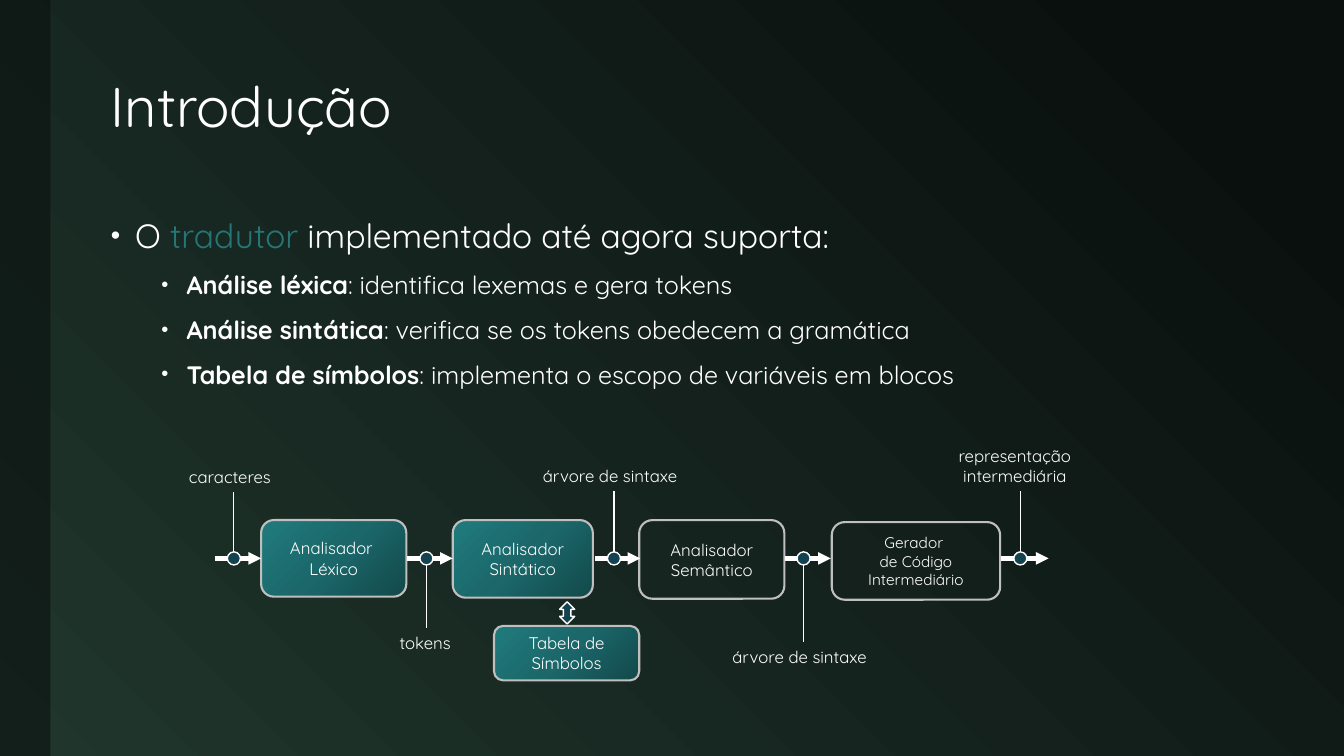
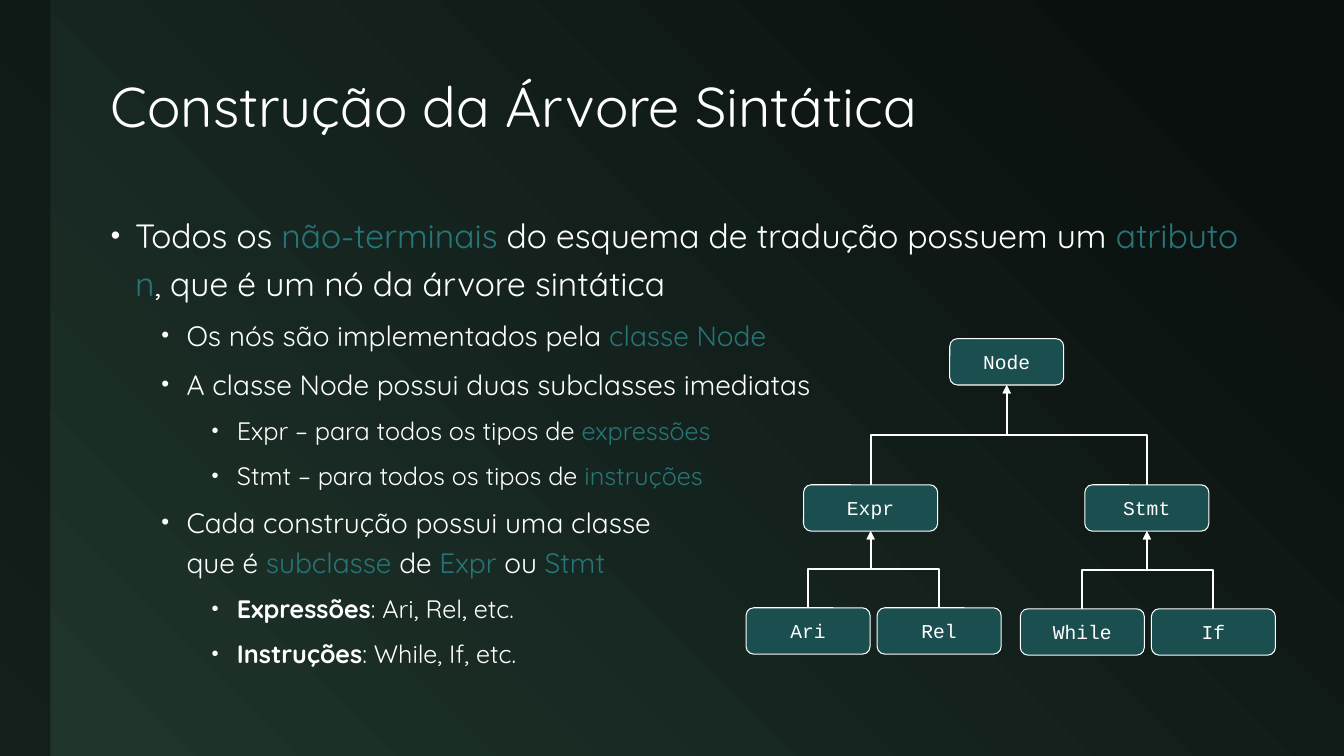
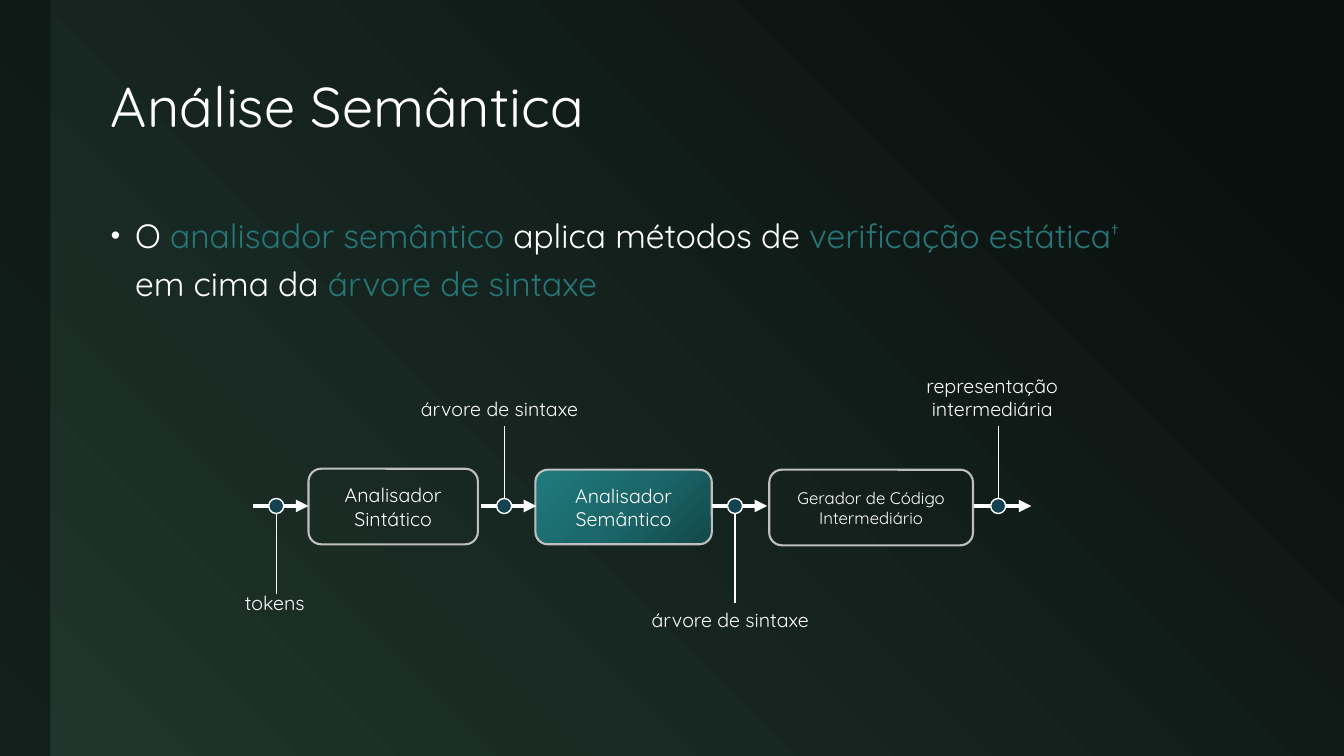
from copy import deepcopy
from lxml.etree import SubElement
from pptx import Presentation
from pptx.dml.color import RGBColor
from pptx.enum.shapes import MSO_CONNECTOR, MSO_SHAPE
from pptx.enum.text import MSO_ANCHOR, MSO_AUTO_SIZE, PP_ALIGN
from pptx.oxml.ns import qn
from pptx.util import Inches, Pt

WHITE, DARK, MOSS = "FFFFFF", "0A100E", "20362D"
TEAL, NAVY, PINE, GREY = "267577", "134251", "1A4E4F", "BFBFBF"
GLOW = ("13494A", "1B676A", "207B7D")
SANS, MONO = "Quicksand", "Courier New"
INDENTS = ((0.24, 0.24), (0.75, 0.25), (1.25, 0.25))


def tint(target, code):
    target.rgb = RGBColor.from_string(code)


def blend(fill, angle, *stops):
    fill.gradient()
    fill.gradient_angle = angle
    for stop, (place, code) in zip(fill.gradient_stops, stops):
        stop.position = place
        tint(stop.color, code)


class Deck:
    def __init__(self):
        self.show = Presentation()
        self.show.slide_width = Inches(13.33)
        self.show.slide_height = Inches(7.5)
        self.slide = None
        self.layout = self.show.slide_layouts[1]
        blend(self.show.slide_master.background.fill, 225, (0.1, DARK), (1, MOSS))
        for holder, top, height in zip(self.layout.placeholders, (0.42, 2), (1.33, 4.83)):
            holder.left, holder.top = Inches(1), Inches(top)
            holder.width, holder.height = Inches(11.65), Inches(height)

    def band(self):
        band = self.shape(MSO_SHAPE.RECTANGLE, 0, 0, 0.5, 7.5, DARK)
        code = band.element.spPr.find(".//" + qn("a:srgbClr"))
        SubElement(code, qn("a:alpha")).set("val", "60000")
        band.element.nvSpPr.cNvPr.id = 20
        self.show.slide_master.shapes.element.insert(2, band.element)

    def page(self, title, items):
        first = self.slide is None
        self.slide = self.show.slides.add_slide(self.layout)
        if first:
            self.band()
        head, body = self.slide.placeholders
        frame = head.text_frame
        frame.text = title
        frame.vertical_anchor = MSO_ANCHOR.MIDDLE
        frame.auto_size = MSO_AUTO_SIZE.NONE
        para = frame.paragraphs[0]
        para.alignment = PP_ALIGN.LEFT
        para.line_spacing = 0.9
        self.style(para.runs[0], 40)
        body.text_frame.auto_size = MSO_AUTO_SIZE.NONE
        for row, item in enumerate(items):
            para = body.text_frame.add_paragraph() if row else body.text_frame.paragraphs[0]
            self.point(para, *item)

    def style(self, run, size, font=SANS, code=WHITE):
        run.font.name, run.font.size = font, Pt(size)
        tint(run.font.color, code)

    def point(self, para, level, size, text):
        para.level = level
        para.line_spacing = 1.2
        para.space_before = Pt(6 if level else 18)
        props = para._p.get_or_add_pPr()
        left, hang = INDENTS[level]
        props.set("marL", str(Inches(left)))
        props.set("indent", str(-Inches(hang)))
        SubElement(props, qn("a:buSzPct")).set("val", "80000")
        SubElement(props, qn("a:buFont")).set("typeface", "Arial")
        SubElement(props, qn("a:buChar")).set("char", "•")
        for part in text.split("|"):
            mark = part[0]
            for row, line in enumerate(part.lstrip("~*^").split("\n")):
                if row:
                    para.add_line_break()
                if line:
                    run = para.add_run()
                    run.text = line
                    self.style(run, size, code=TEAL if mark in "~^" else WHITE)
                    run.font.bold = mark == "*"
                    if mark == "^":
                        run._r.rPr.set("baseline", "30000")
        for gap in para._p.findall(qn("a:br")):
            gap.append(deepcopy(para.runs[0]._r.rPr))

    def shape(self, kind, x, y, w, h, fill=None, line=None, weight=1):
        shape = self.slide.shapes.add_shape(kind, Inches(x), Inches(y), Inches(w), Inches(h))
        shape.shadow.inherit = False
        if fill:
            shape.fill.solid()
            tint(shape.fill.fore_color, fill)
        else:
            shape.fill.background()
        if line:
            tint(shape.line.color, line)
            shape.line.width = Pt(weight)
        else:
            shape.line.fill.background()
        return shape

    def words(self, shape, text, size, font=SANS):
        frame = shape.text_frame
        frame.text = text
        for para in frame.paragraphs:
            self.style(para.runs[0], size, font)
        return frame

    def box(self, text, x, y, w, h, size=12, glow=False):
        box = self.shape(MSO_SHAPE.ROUNDED_RECTANGLE, x, y, w, h, None, GREY, 1.5)
        if glow:
            low, mid, high = GLOW
            blend(box.fill, 135, (0, low), (1, high))
            stops = box.element.spPr.find(".//" + qn("a:gsLst"))
            stop = deepcopy(stops[0])
            stop.set("pos", "50000")
            stop[0].set("val", mid)
            stops.insert(1, stop)
        self.center(self.words(box, text, size))

    def center(self, frame):
        frame.vertical_anchor = MSO_ANCHOR.MIDDLE
        for para in frame.paragraphs:
            para.alignment = PP_ALIGN.CENTER

    def node(self, text, x, y, w=1.23):
        node = self.shape(MSO_SHAPE.ROUNDED_RECTANGLE, x, y, w, 0.46, PINE, WHITE, 0.75)
        self.center(self.words(node, text, 14, MONO))
        return node

    def label(self, text, x, y, w, h, size):
        label = self.slide.shapes.add_textbox(Inches(x), Inches(y), Inches(w), Inches(h))
        frame = self.words(label, text, size)
        frame.word_wrap = False
        frame.auto_size = MSO_AUTO_SIZE.SHAPE_TO_FIT_TEXT
        for para in frame.paragraphs[1:]:
            para.alignment = PP_ALIGN.CENTER

    def line(self, kind, ends, weight, arrow=False):
        line = self.slide.shapes.add_connector(kind, *ends)
        tint(line.line.color, WHITE)
        line.line.width = Pt(weight)
        props = line.element.spPr
        if arrow:
            SubElement(props.find(qn("a:ln")), qn("a:tailEnd")).set("type", "triangle")
        SubElement(props, qn("a:effectLst"))
        return line

    def straight(self, x1, y1, x2, y2, weight, arrow=False):
        ends = [Inches(n) for n in (x1, y1, x2, y2)]
        self.line(MSO_CONNECTOR.STRAIGHT, ends, weight, arrow)

    def link(self, child, top):
        x1, y1 = child.left + child.width // 2, child.top
        x2, y2 = top.left + top.width // 2, top.top + top.height
        rise, run = y1 - y2, abs(x2 - x1)
        left, high = (x1 + x2 - rise) // 2, (y1 + y2 - run) // 2
        sides = [left, left + rise]
        if x2 > x1:
            sides.reverse()
        ends = sides[0], high + run, sides[1], high
        line = self.line(MSO_CONNECTOR.ELBOW, ends, 1.5, True)
        turn = 90 if x2 > x1 else 270
        line.element.spPr.find(qn("a:xfrm")).set("rot", str(turn * 60000))

    def tap(self, text, start, stop, y, x, end, w, h, size, dot, lap=0):
        above = end < y
        self.label(text, x - w / 2, end - h if above else end - lap, w, h, size)
        self.straight(start, y, stop, y, 3, True)
        self.straight(x, y - dot / 2 if above else y + dot / 2, x, end, 0.75)
        self.shape(MSO_SHAPE.OVAL, x - dot / 2, y - dot / 2, dot, dot, NAVY, WHITE)


deck = Deck()

deck.page("Introdução", [
    (0, 24, "O |~tradutor |implementado até agora suporta:"),
    (1, 18, "*Análise léxica|: identifica lexemas e gera tokens"),
    (1, 18, "*Análise sintática|: verifica se os tokens obedecem a gramática"),
    (1, 18, "*Tabela de símbolos|: implementa o escopo de variáveis em blocos"),
])
deck.shape(MSO_SHAPE.UP_DOWN_ARROW, 5.55, 5.97, 0.15, 0.22, NAVY, WHITE)
deck.box("Tabela de Símbolos", 4.9, 6.21, 1.44, 0.54, glow=True)
deck.box("Analisador \nLéxico", 2.59, 5.16, 1.44, 0.76, glow=True)
deck.box("Analisador\nSintático", 4.49, 5.16, 1.39, 0.77, glow=True)
deck.box("Analisador\nSemântico", 6.34, 5.16, 1.44, 0.78)
deck.box("Gerador \nde Código Intermediário", 8.25, 5.18, 1.67, 0.77, 11)
for text, start, stop, x, end, w, h in (
    ("caracteres", 2.13, 2.59, 2.32, 4.88, 1.09, 0.3),
    ("tokens", 4.04, 4.49, 4.23, 6.23, 0.73, 0.3),
    ("árvore de sintaxe", 5.9, 6.35, 6.09, 4.87, 1.61, 0.3),
    ("árvore de sintaxe", 7.79, 8.24, 7.97, 6.37, 1.61, 0.3),
    ("representação\nintermediária", 9.93, 10.4, 10.12, 4.87, 1.42, 0.5),
):
    deck.tap(text, start, stop, 5.54, x, end, w, h, 12, 0.13)

deck.page("Construção da Árvore Sintática", [
    (0, 24, "Todos os |~não-terminais| do esquema de tradução possuem um "
            "|~atributo n|, que é um nó da árvore sintática"),
    (1, 20, "Os nós são implementados pela |~classe Node"),
    (1, 20, "A classe Node possui duas subclasses imediatas"),
    (2, 18, "Expr – para todos os tipos de |~expressões"),
    (2, 18, "Stmt – para todos os tipos de |~instruções"),
    (1, 20, "Cada construção possui uma classe \nque é |~subclasse |de |~Expr |ou |~Stmt"),
    (2, 18, "*Expressões|: Ari, Rel, etc. "),
    (2, 18, "*Instruções|: While, If, etc."),
])
root = deck.node("Node", 9.42, 3.36, 1.13)
expr = deck.node("Expr", 7.97, 4.81, 1.33)
stmt = deck.node("Stmt", 10.76, 4.81)
for child in (expr, stmt):
    deck.link(child, root)
for text, x, y, top in (
    ("Ari", 7.4, 6.03, expr),
    ("Rel", 8.7, 6.03, expr),
    ("While", 10.12, 6.04, stmt),
    ("If", 11.42, 6.04, stmt),
):
    deck.link(deck.node(text, x, y), top)

deck.page("Análise Semântica", [
    (0, 24, "O |~analisador semântico |aplica métodos de |~verificação estática"
            "|^†\n|em cima da |~árvore de sintaxe"),
])
deck.box("Analisador\nSintático", 3.06, 4.65, 1.68, 0.75, 14)
deck.box("Analisador\nSemântico", 5.31, 4.66, 1.75, 0.74, 14, True)
deck.box("Gerador de Código Intermediário", 7.63, 4.66, 2.02, 0.75)
for text, start, stop, x, end, w, h, lap in (
    ("tokens", 2.51, 3.06, 2.74, 5.89, 0.82, 0.34, 0.08),
    ("árvore de sintaxe", 4.77, 5.32, 5, 4.23, 1.85, 0.34, 0),
    ("árvore de sintaxe", 7.06, 7.61, 7.29, 5.98, 1.85, 0.34, 0),
    ("representação\nintermediária", 9.66, 10.23, 9.9, 4.23, 1.62, 0.57, 0),
):
    deck.tap(text, start, stop, 5.02, x, end, w, h, 14, 0.15, lap)

deck.show.save("out.pptx")
